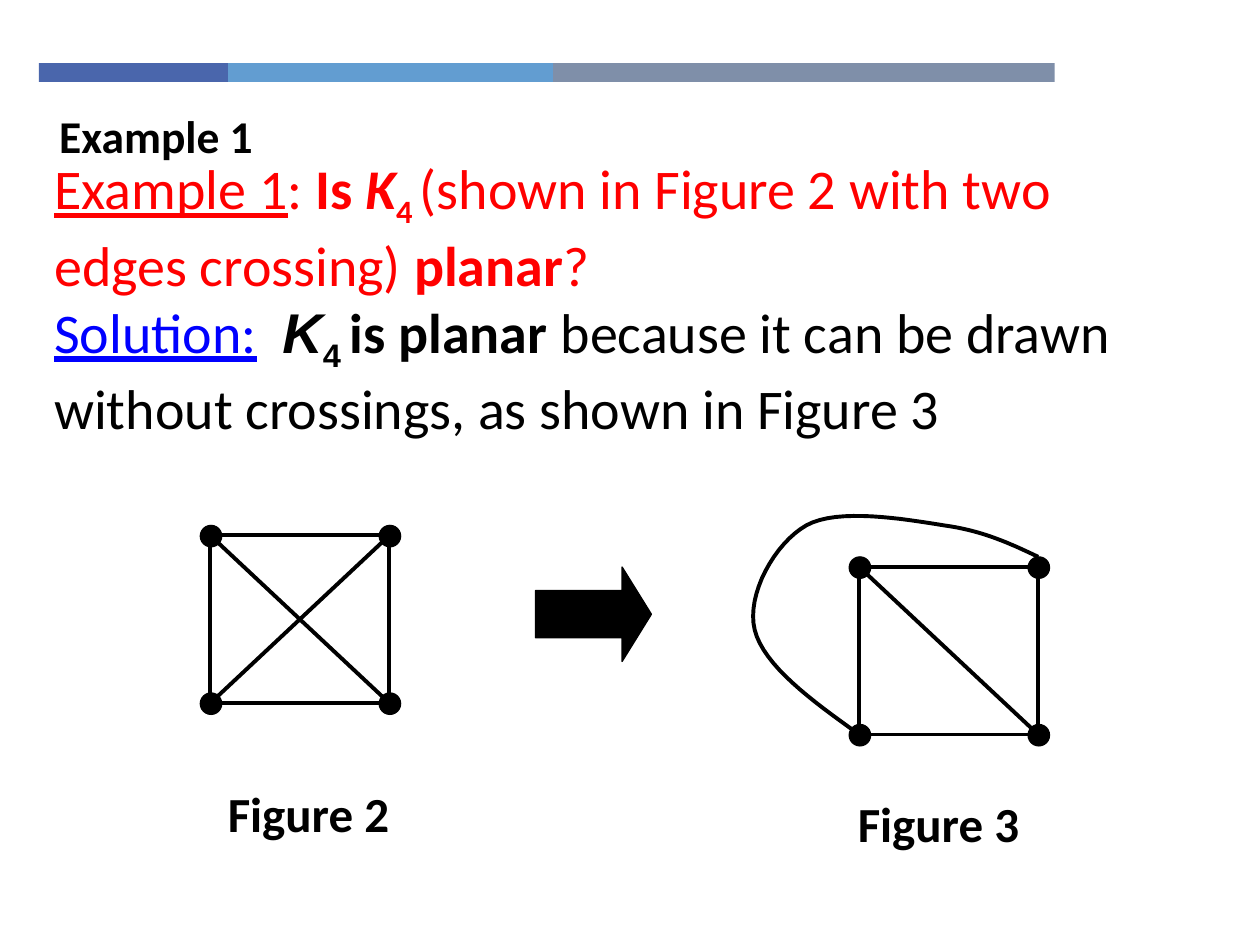
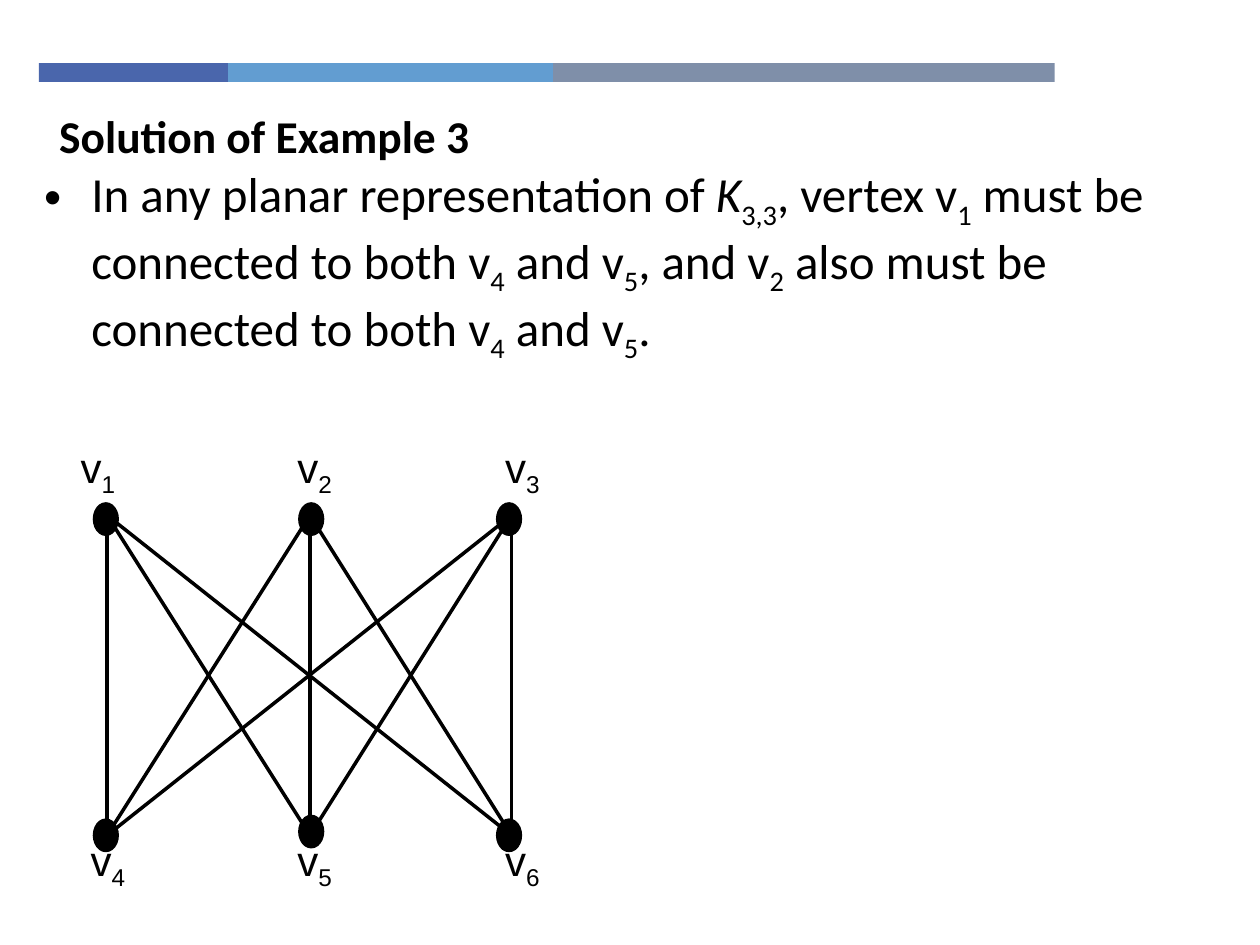
from dataclasses import dataclass

import pptx
import pptx.dml.color
import pptx.enum.shapes
import pptx.enum.text
import pptx.oxml
import pptx.oxml.ns
import pptx.shapes.autoshape
import pptx.slide
import pptx.text.text
import pptx.util

PX = 9144  # EMU per px, 100 px to the inch
COLORS = {
    "ink": "000000", "question": "FF0000", "answer": "0000FF",
    "navy": "4A66AC", "sky": "629DD1", "slate": "7F8FA9",
}
SHAPE = pptx.enum.shapes.MSO_SHAPE
ANCHOR = pptx.enum.text.MSO_ANCHOR
Slide = pptx.slide.Slide


@dataclass(frozen=True)
class Box:
    left: int
    top: int
    width: int
    height: int

    def emu(self) -> list[int]:
        return [v * PX for v in (self.left, self.top, self.width, self.height)]


@dataclass(frozen=True)
class Span:
    text: str
    bold: bool = False
    italic: bool = False
    underline: bool = False
    sub: bool = False
    color: str = "ink"
    font: str = "Calibri"
    tracking: int = 0  # hundredths of a point


@dataclass(frozen=True)
class Band:
    box: Box
    color: str


TITLE_BOX = Box(37, 80, 716, 54)
BANDS = [
    Band(Box(31, 50, 150, 15), "navy"),
    Band(Box(181, 50, 258, 15), "sky"),
    Band(Box(439, 50, 398, 15), "slate"),
]


def rgb(name: str) -> pptx.dml.color.RGBColor:
    return pptx.dml.color.RGBColor.from_string(COLORS[name])


# Text
def indexed(text: str, font: str = "Calibri") -> list[Span]:
    """Turn every part between a pair of ~ into a subscript."""
    return [Span(part, sub=i % 2 == 1, font=font)
            for i, part in enumerate(text.split("~")) if part]


def write(p: pptx.text.text._Paragraph, spans: list[Span], size: int) -> None:
    p.space_before = pptx.util.Pt(0)
    for span in spans:
        r = p.add_run()
        r.text = span.text
        f = r.font
        f.name, f.size = span.font, pptx.util.Pt(size)
        f.bold, f.italic, f.underline = span.bold, span.italic, span.underline
        f.color.rgb = rgb(span.color)
        rPr = r._r.get_or_add_rPr()
        if span.sub:
            rPr.set("baseline", "-25000")
        if span.tracking:
            rPr.set("spc", str(span.tracking))


def place(sp: pptx.shapes.autoshape.Shape, box: Box) -> None:
    sp.left, sp.top, sp.width, sp.height = box.emu()


def add_label(s: Slide, box: Box, spans: list[Span], size: int, inset: bool = True) -> None:
    tf = s.shapes.add_textbox(*box.emu()).text_frame
    tf.word_wrap = False
    if not inset:
        tf.margin_left = tf.margin_top = tf.margin_right = tf.margin_bottom = 0
    write(tf.paragraphs[0], spans, size)


def fill_body(s: Slide, box: Box, paragraphs: list[list[Span]], size: int,
              bullets: bool) -> None:
    body = s.placeholders[1]
    place(body, box)
    tf = body.text_frame
    tf.auto_size = pptx.enum.text.MSO_AUTO_SIZE.NONE
    tf.vertical_anchor = ANCHOR.TOP
    for i, spans in enumerate(paragraphs):
        p = tf.add_paragraph() if i else tf.paragraphs[0]
        write(p, spans, size)
        if not bullets:
            pPr = p._p.get_or_add_pPr()
            pPr.set("marL", "0")
            pPr.set("indent", "0")
            pPr.append(pptx.oxml.parse_xml(
                f'<a:buNone {pptx.oxml.ns.nsdecls("a")}/>'))


# Shapes
def add_shape(s: Slide, kind: SHAPE, box: Box, fill: str = "", line: float = 0,
              ) -> pptx.shapes.autoshape.Shape:
    sp = s.shapes.add_shape(kind, *box.emu())
    style(sp, fill, line)
    return sp


def style(sp: pptx.shapes.autoshape.Shape, fill: str, line: float) -> None:
    sp.shadow.inherit = False
    if fill:
        sp.fill.solid()
        sp.fill.fore_color.rgb = rgb(fill)
    else:
        sp.fill.background()
    if line:
        sp.line.color.rgb = rgb("ink")
        sp.line.width = pptx.util.Pt(line)
    else:
        sp.line.fill.background()


def add_edge(s: Slide, x1: int, y1: int, x2: int, y2: int, width: float) -> None:
    c = s.shapes.add_connector(pptx.enum.shapes.MSO_CONNECTOR.STRAIGHT,
                               x1 * PX, y1 * PX, x2 * PX, y2 * PX)
    c.line.color.rgb = rgb("ink")
    c.line.width = pptx.util.Pt(width)
    c._element.spPr.append(pptx.oxml.parse_xml(
        f'<a:effectLst {pptx.oxml.ns.nsdecls("a")}/>'))


def add_curve(s: Slide, knots: list[tuple[int, int]], width: float) -> None:
    """Draw joined cubic Béziers; knots hold a start, then three points each."""
    steps = 16
    points = []
    for k in range(0, len(knots) - 1, 3):
        for n in range(1, steps + 1):
            t = n / steps
            weights = ((1 - t) ** 3, 3 * t * (1 - t) ** 2, 3 * t * t * (1 - t), t ** 3)
            points.append(tuple(
                round(PX * sum(w * q[axis] for w, q in zip(weights, knots[k:k + 4])))
                for axis in (0, 1)))
    fb = s.shapes.build_freeform(knots[0][0] * PX, knots[0][1] * PX)
    fb.add_line_segments(points, close=False)
    style(fb.convert_to_shape(), "", width)


def add_square_graph(s: Slide, left: int, top: int, crossed: bool) -> None:
    width, height, dot = 142, 133, 17
    right, bottom = left + width, top + height
    add_shape(s, SHAPE.RECTANGLE, Box(left, top, width, height), line=2.25)
    add_edge(s, left, top, right, bottom, 2.25)
    if crossed:
        add_edge(s, left, bottom, right, top, 2.25)
    for x in (left, right):
        for y in (top, bottom):
            add_shape(s, SHAPE.OVAL, Box(x - dot // 2, y - dot // 2, dot, dot), "ink", 0.75)


# Slides
def new_slide(prs: pptx.presentation.Presentation, title: str) -> Slide:
    s = prs.slides.add_slide(prs.slide_layouts[1])
    place(s.shapes.title, TITLE_BOX)
    tf = s.shapes.title.text_frame
    tf.auto_size = pptx.enum.text.MSO_AUTO_SIZE.NONE
    tf.vertical_anchor = ANCHOR.MIDDLE
    tf.paragraphs[0].alignment = pptx.enum.text.PP_ALIGN.LEFT
    write(tf.paragraphs[0], [Span(title, bold=True)], 26)
    return s


def move_bands_to_layout(s: Slide) -> None:
    for band in BANDS:
        sp = add_shape(s, SHAPE.RECTANGLE, band.box, band.color)
        s.slide_layout.shapes._spTree.append(sp._element)


def build_example(s: Slide) -> None:
    red = "question"
    question = [
        Span("Example 1", underline=True, color=red),
        Span(": ", color=red),
        Span("Is ", bold=True, color=red),
        Span("K", bold=True, italic=True, color=red),
        Span("4 ", bold=True, sub=True, color=red),
        Span("(shown in Figure 2 with two edges crossing) ", color=red),
        Span("planar", bold=True, color=red),
        Span("?", color=red),
    ]
    solution = [
        Span("Solution:", underline=True, color="answer"),
        Span(" ", tracking=720),
        Span("K", bold=True, italic=True, font="Arial"),
        Span("4 ", bold=True, sub=True, font="Arial"),
        Span("is planar ", bold=True),
        Span("because it can be drawn without crossings, as shown in Figure 3"),
    ]
    fill_body(s, Box(33, 117, 925, 226), [question, solution], 32, bullets=False)

    # Crossed drawing, arrow, planar drawing
    add_square_graph(s, 167, 425, crossed=True)
    arrow = add_shape(s, SHAPE.RIGHT_ARROW, Box(425, 450, 92, 75), "ink", 0.75)
    arrow.adjustments[1] = 0.31
    add_square_graph(s, 682, 450, crossed=False)
    add_curve(s, [(824, 442), (801, 431), (779, 421), (749, 417),
                  (718, 412), (665, 403), (640, 417),
                  (615, 431), (592, 472), (599, 500),
                  (606, 528), (644, 556), (682, 583)], 2.25)
    add_label(s, Box(171, 617, 150, 57), [Span("Figure 2", bold=True)], 28)
    add_label(s, Box(671, 625, 150, 57), [Span("Figure 3", bold=True)], 28)


def build_solution(s: Slide) -> None:
    statement = [
        Span("In any planar representation of "),
        Span("K", italic=True),
        *indexed("~3,3~, vertex v~1~ must be connected to both v~4~ and v~5~, "
                 "and v~2~ also must be connected to both v~4~ and v~5~."),
    ]
    fill_body(s, Box(25, 125, 942, 217), [statement], 28, bullets=True)

    # Every upper vertex is joined to every lower one
    columns = (85, 246, 406)
    for upper in columns:
        for lower in columns:
            add_edge(s, upper, 409, lower, 663, 2)

    # Vertices and their names
    dot_lefts = (75, 238, 395)
    rows = [
        ((400, 400, 400), (64, 236, 401), 350),
        ((651, 648, 651), (72, 236, 401), 662),
    ]
    number = 1
    for dot_tops, label_lefts, label_top in rows:
        for x, y, label_left in zip(dot_lefts, dot_tops, label_lefts):
            add_shape(s, SHAPE.OVAL, Box(x, y, 18, 24), "ink", 2)
            add_label(s, Box(label_left, label_top, 40, 45),
                      indexed(f"v~{number}~", "Arial"), 24, inset=False)
            number += 1


def main() -> None:
    prs = pptx.Presentation()
    prs.slide_width, prs.slide_height = 1000 * PX, 750 * PX
    example = new_slide(prs, "Example 1")
    move_bands_to_layout(example)
    build_example(example)
    build_solution(new_slide(prs, "Solution of Example 3"))
    prs.save("out.pptx")


if __name__ == "__main__":
    main()
